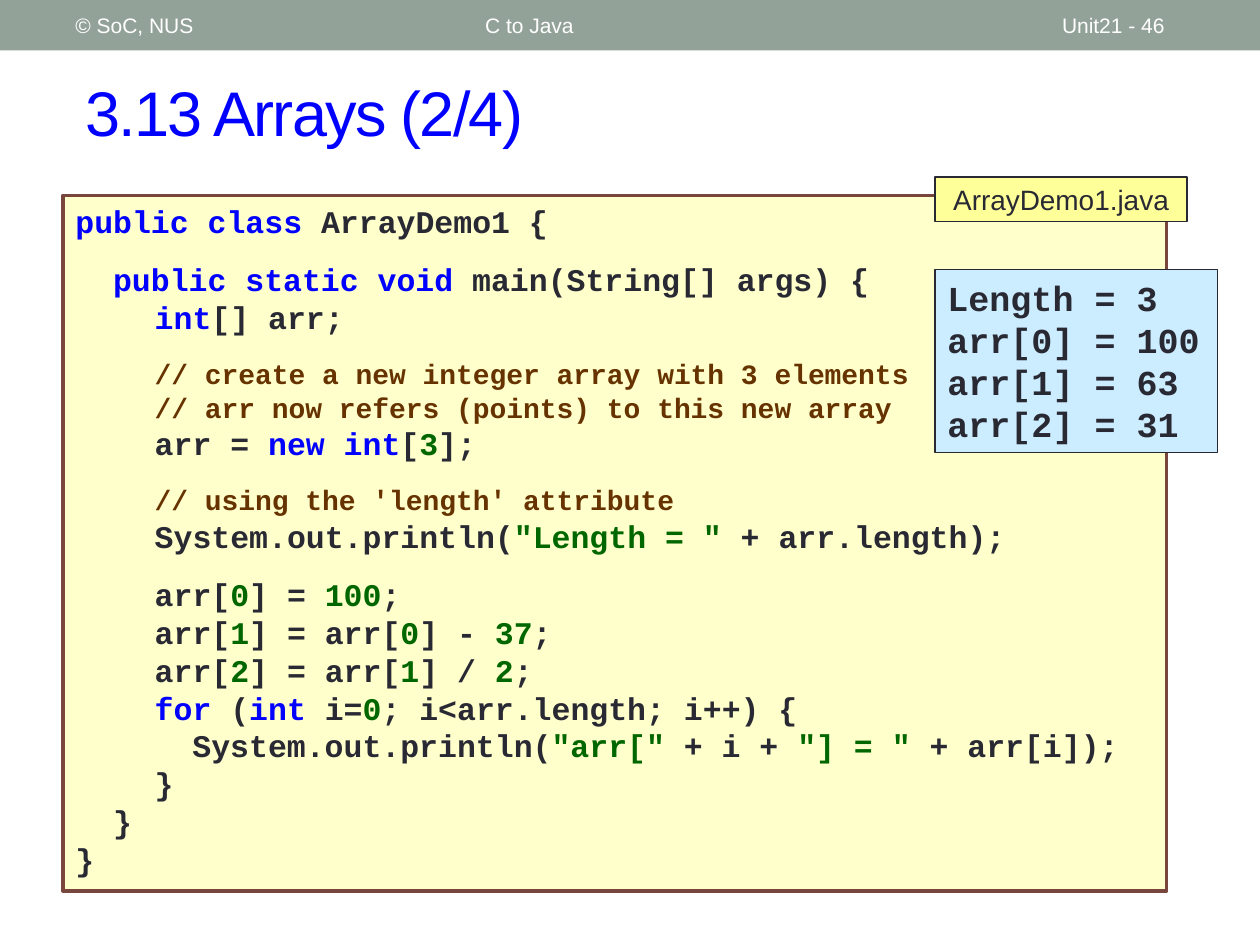
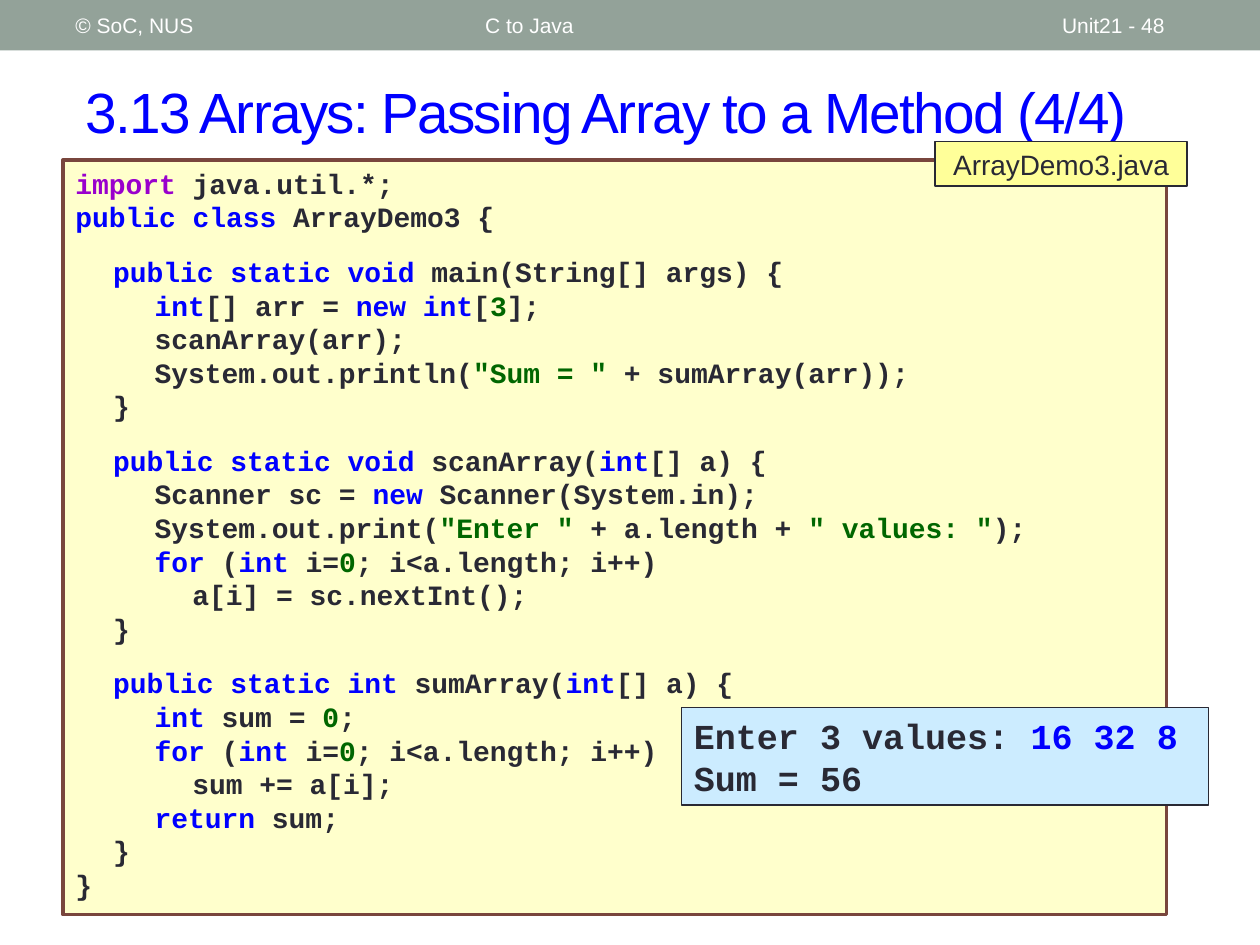
from dataclasses import dataclass
from itertools import groupby

from lxml.etree import SubElement
from pptx import Presentation
from pptx.dml.color import RGBColor
from pptx.enum.shapes import MSO_SHAPE
from pptx.enum.text import MSO_ANCHOR, MSO_AUTO_SIZE, PP_ALIGN
from pptx.oxml.ns import qn
from pptx.util import Cm, Pt


@dataclass(frozen=True)
class Theme:
    sans: str = "Arial"
    mono: str = "Courier New"
    band: str = "93A299"
    white: str = "FFFFFF"
    ink: str = "292934"
    blue: str = "0000FF"
    purple: str = "9900CC"
    green: str = "006600"
    brown: str = "663300"
    code_fill: str = "FFFFCC"
    code_line: str = "79463D"
    label_fill: str = "FFFF99"
    output_fill: str = "CCECFF"
    footer_size: float = 12
    label_size: float = 16
    comment_size: float = 16
    output_size: float = 20
    code_gap: float = 12


THEME = Theme()
KEYWORDS = set("public class static void int new for return".split())
TAB_STOPS = (0.76, 1.6, 2.36, 3.18)

ARRAY_DEMO_1 = """\
public class ArrayDemo1 {

  public static void main(String[] args) {
    int[] arr;

    // create a new integer array with 3 elements
    // arr now refers (points) to this new array
    arr = new int[3];

    // using the 'length' attribute
    System.out.println("Length = " + arr.length);

    arr[0] = 100;
    arr[1] = arr[0] - 37;
    arr[2] = arr[1] / 2;
    for (int i=0; i<arr.length; i++) {
      System.out.println("arr[" + i + "] = " + arr[i]);
    }
  }
}"""

ARRAY_DEMO_3 = """\
import java.util.*;
public class ArrayDemo3 {

  public static void main(String[] args) {
    int[] arr = new int[3];
    scanArray(arr);
    System.out.println("Sum = " + sumArray(arr));
  }

  public static void scanArray(int[] a) {
    Scanner sc = new Scanner(System.in);
    System.out.print("Enter " + a.length + " values: ");
    for (int i=0; i<a.length; i++)
      a[i] = sc.nextInt();
  }

  public static int sumArray(int[] a) {
    int sum = 0;
    for (int i=0; i<a.length; i++)
      sum += a[i];
    return sum;
  }
}"""


def word_color(word):
    if word == "import":
        return THEME.purple
    if word in KEYWORDS:
        return THEME.blue
    return THEME.green if word.isdigit() else THEME.ink


def highlight(code):
    """Split one line of Java into (text, colour) runs."""
    if code.startswith("//"):
        return [(code, THEME.brown)]
    tokens = []
    for i, part in enumerate(code.split('"')):
        if i % 2:
            tokens.append((f'"{part}"', THEME.green))
        else:
            words = ("".join(g) for _, g in groupby(part, str.isalnum))
            tokens += [(w, word_color(w)) for w in words]
    return [("".join(text for text, _ in g), color)
            for color, g in groupby(tokens, key=lambda t: t[1])]


def write(p, text, font=THEME.sans, size=12, color=THEME.ink, bold=False,
          align=None, spacing=None):
    """Add text, a string or a list of (text, colour) runs, to a paragraph."""
    if align is not None:
        p.alignment = align
    runs = [(text, color)] if isinstance(text, str) else text
    for words, run_color in runs:
        r = p.add_run()
        r.text = words
        r.font.name, r.font.size, r.font.bold = font, Pt(size), bold
        r.font.color.rgb = RGBColor.from_string(run_color)
        if spacing is not None:
            r.font._element.set("spc", str(spacing))


def paragraphs(tf):
    """Yield the first paragraph of a frame, then new ones."""
    yield tf.paragraphs[0]
    while True:
        yield tf.add_paragraph()


def add_tab_stops(p):
    tabs = SubElement(p._p.get_or_add_pPr(), qn("a:tabLst"))
    for stop in TAB_STOPS:
        SubElement(tabs, qn("a:tab"), pos=str(Cm(stop)), algn="l")


class Deck:
    def __init__(self, theme):
        self.theme = theme
        self.prs = Presentation()
        self.prs.slide_width, self.prs.slide_height = Cm(25.4), Cm(19.05)
        self.s = None

    def slide(self, title, number, title_size):
        t = self.theme
        self.s = self.prs.slides.add_slide(self.prs.slide_layouts[5])
        self.box(0, 0, 25.4, 1.02, t.band)
        sp = self.s.shapes.title
        sp.left, sp.top, sp.width, sp.height = map(Cm, (1.47, 1.07, 23.29, 2.34))
        tf = sp.text_frame
        tf.auto_size, tf.vertical_anchor = MSO_AUTO_SIZE.NONE, MSO_ANCHOR.MIDDLE
        write(tf.paragraphs[0], title, size=title_size, color=t.blue,
              align=PP_ALIGN.LEFT, spacing=-100)
        self.footer("C to Java", 9.53, 11.43)
        self.footer(f"Unit21 - {number}", 21.16, 2.97)
        self.footer("© SoC, NUS", 1.27, 8.05)

    def footer(self, text, left, width):
        sp = self.s.shapes.add_textbox(Cm(left), Cm(0.05), Cm(width), Cm(0.91))
        tf = sp.text_frame
        tf.word_wrap, tf.vertical_anchor = True, MSO_ANCHOR.MIDDLE
        write(tf.paragraphs[0], text, size=self.theme.footer_size,
              color=self.theme.white)

    def box(self, left, top, width, height, fill, line=None, weight=0.75,
            anchor=MSO_ANCHOR.TOP):
        sp = self.s.shapes.add_shape(MSO_SHAPE.RECTANGLE, Cm(left), Cm(top),
                                     Cm(width), Cm(height))
        sp.shadow.inherit = False
        sp.fill.solid()
        sp.fill.fore_color.rgb = RGBColor.from_string(fill)
        if line:
            sp.line.color.rgb = RGBColor.from_string(line)
            sp.line.width = Pt(weight)
        else:
            sp.line.fill.background()
        tf = sp.text_frame
        tf.word_wrap, tf.vertical_anchor = True, anchor
        return tf

    def code(self, source, file_name, top, height, size):
        """Draw a listing; a blank line becomes space before the next one."""
        t = self.theme
        tf = self.box(1.27, top, 22.25, height, t.code_fill, t.code_line, 2.08)
        lines = source.splitlines()
        shown = [(line, before) for before, line in zip(["{"] + lines, lines) if line]
        for (line, before), p in zip(shown, paragraphs(tf)):
            add_tab_stops(p)
            p.alignment = PP_ALIGN.LEFT
            if not before:
                p.space_before = Pt(t.code_gap)
            code = line.lstrip()
            depth = (len(line) - len(code)) // 2
            (first, color), *rest = highlight(code)
            write(p, [("\t" * depth + first, color)] + rest, font=t.mono, bold=True,
                  size=t.comment_size if code.startswith("//") else size)
        label = self.box(18.85, top - 0.37, 5.08, 0.89, t.label_fill, t.ink,
                         anchor=MSO_ANCHOR.MIDDLE)
        write(label.paragraphs[0], file_name, size=t.label_size,
              align=PP_ALIGN.CENTER)

    def output(self, lines, left, top, width, height):
        t = self.theme
        tf = self.box(left, top, width, height, t.output_fill, t.ink)
        for line, p in zip(lines, paragraphs(tf)):
            write(p, line, font=t.mono, size=t.output_size, bold=True,
                  align=PP_ALIGN.LEFT)


def main():
    deck = Deck(THEME)

    deck.slide("3.13 Arrays (2/4)", 46, title_size=36)
    deck.code(ARRAY_DEMO_1, "ArrayDemo1.java", top=3.94, height=14.02, size=18)
    deck.output(["Length = 3", "arr[0] = 100", "arr[1] = 63", "arr[2] = 31"],
                18.85, 5.44, 5.69, 3.68)

    deck.slide("3.13 Arrays: Passing Array to a Method (4/4)", 48, title_size=32.4)
    deck.code(ARRAY_DEMO_3, "ArrayDemo3.java", top=3.23, height=15.21, size=16)
    deck.output([[("Enter 3 values: ", THEME.ink), ("16 32 8", THEME.blue)],
                 "Sum = 56"], 13.74, 14.27, 10.62, 1.96)

    deck.prs.save("out.pptx")


if __name__ == "__main__":
    main()
